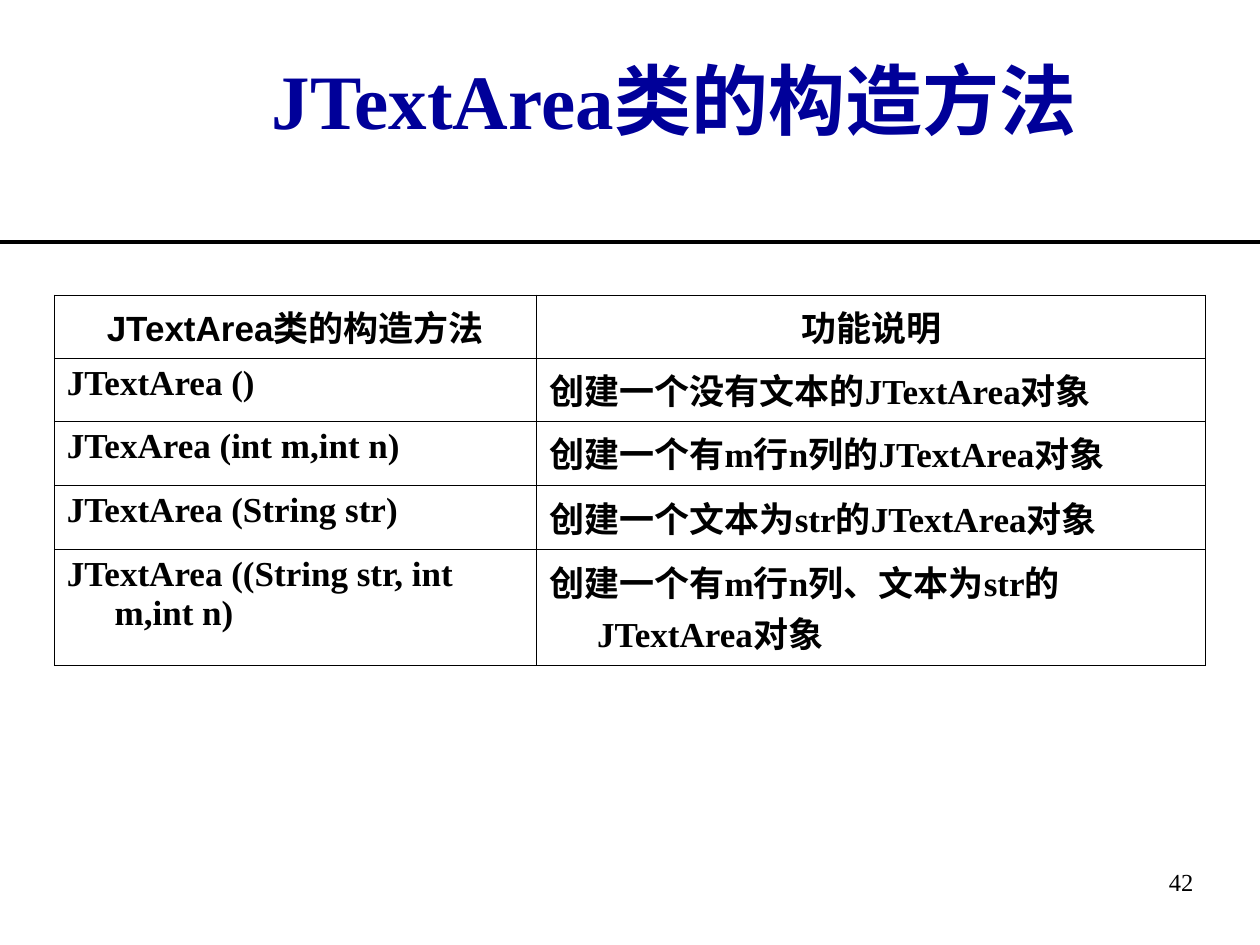
"""Build the slide on the constructors of the JTextArea class."""
from lxml.etree import SubElement
from pptx import Presentation
from pptx.dml.color import RGBColor
from pptx.enum.shapes import MSO_CONNECTOR as CONNECTOR
from pptx.enum.text import MSO_ANCHOR as ANCHOR, PP_ALIGN as ALIGN
from pptx.oxml import parse_xml
from pptx.oxml.ns import nsdecls, qn
from pptx.util import Inches, Pt


def color(value):
    return RGBColor.from_string(value)


def write(text_frame, text, size, font, fill, bold, alignment):
    text_frame.text = text
    text_frame.word_wrap = True
    paragraph = text_frame.paragraphs[0]
    paragraph.alignment = alignment
    run_font = paragraph.runs[0].font
    run_font.size = Pt(size)
    run_font.name = font
    run_font.bold = bold
    run_font.color.rgb = color(fill)
    return paragraph


SERIF = "Times New Roman"
BLACK = "000000"
ROWS = [
    ("JTextArea类的构造方法", "功能说明"),
    ("JTextArea ()", "创建一个没有文本的JTextArea对象"),
    ("JTexArea (int m,int n)", "创建一个有m行n列的JTextArea对象"),
    ("JTextArea (String str)", "创建一个文本为str的JTextArea对象"),
    ("JTextArea ((String str, int m,int n)", "创建一个有m行n列、文本为str的JTextArea对象"),
]
COLUMN_WIDTHS = [3.83, 5.31]
ROW_HEIGHTS = [0.5, 0.5, 0.51, 0.51, 0.92]

presentation = Presentation()
presentation.slide_width = Inches(10)
presentation.slide_height = Inches(7.5)
slide = presentation.slides.add_slide(presentation.slide_layouts[6])

title = slide.shapes.add_textbox(Inches(1.17), Inches(0.16), Inches(8.5), Inches(1.25))
write(title.text_frame, "JTextArea类的构造方法 ", 44, SERIF, "000099", True, ALIGN.CENTER)
title.text_frame.vertical_anchor = ANCHOR.MIDDLE

table = slide.shapes.add_table(
    len(ROWS), len(COLUMN_WIDTHS), Inches(0.43), Inches(2.34),
    Inches(sum(COLUMN_WIDTHS)), Inches(sum(ROW_HEIGHTS))).table
table.first_row = False
table.horz_banding = False
for column, width in zip(table.columns, COLUMN_WIDTHS):
    column.width = Inches(width)
for row, height in zip(table.rows, ROW_HEIGHTS):
    row.height = Inches(height)

for row_index, texts in enumerate(ROWS):
    header = row_index == 0
    for column_index, text in enumerate(texts):
        cell = table.cell(row_index, column_index)
        paragraph = write(cell.text_frame, text, 20, "Arial" if header else SERIF, BLACK, True,
                          ALIGN.CENTER if header else ALIGN.LEFT)
        properties = paragraph._p.get_or_add_pPr()
        properties.set("marL", str(Inches(0.38)))
        properties.set("indent", str(Inches(-0.38)))
        cell_properties = cell._tc.get_or_add_tcPr()
        for side in ("lnL", "lnR", "lnT", "lnB"):
            cell_properties.append(parse_xml(
                f'<a:{side} {nsdecls("a")} w="{Pt(0.45)}"><a:solidFill>'
                f'<a:srgbClr val="{BLACK}"/></a:solidFill></a:{side}>'))
        cell.fill.background()

divider = slide.shapes.add_connector(
    CONNECTOR.STRAIGHT, Inches(0), Inches(1.92), Inches(10), Inches(1.92))
divider.line.color.rgb = color(BLACK)
divider.line.width = Pt(2.25)
SubElement(divider._element.spPr, qn("a:effectLst"))

page_number = slide.shapes.add_textbox(Inches(8.99), Inches(6.83), Inches(0.58), Inches(0.67))
write(page_number.text_frame, "42", 14, SERIF, BLACK, False, ALIGN.RIGHT)

presentation.save("out.pptx")
